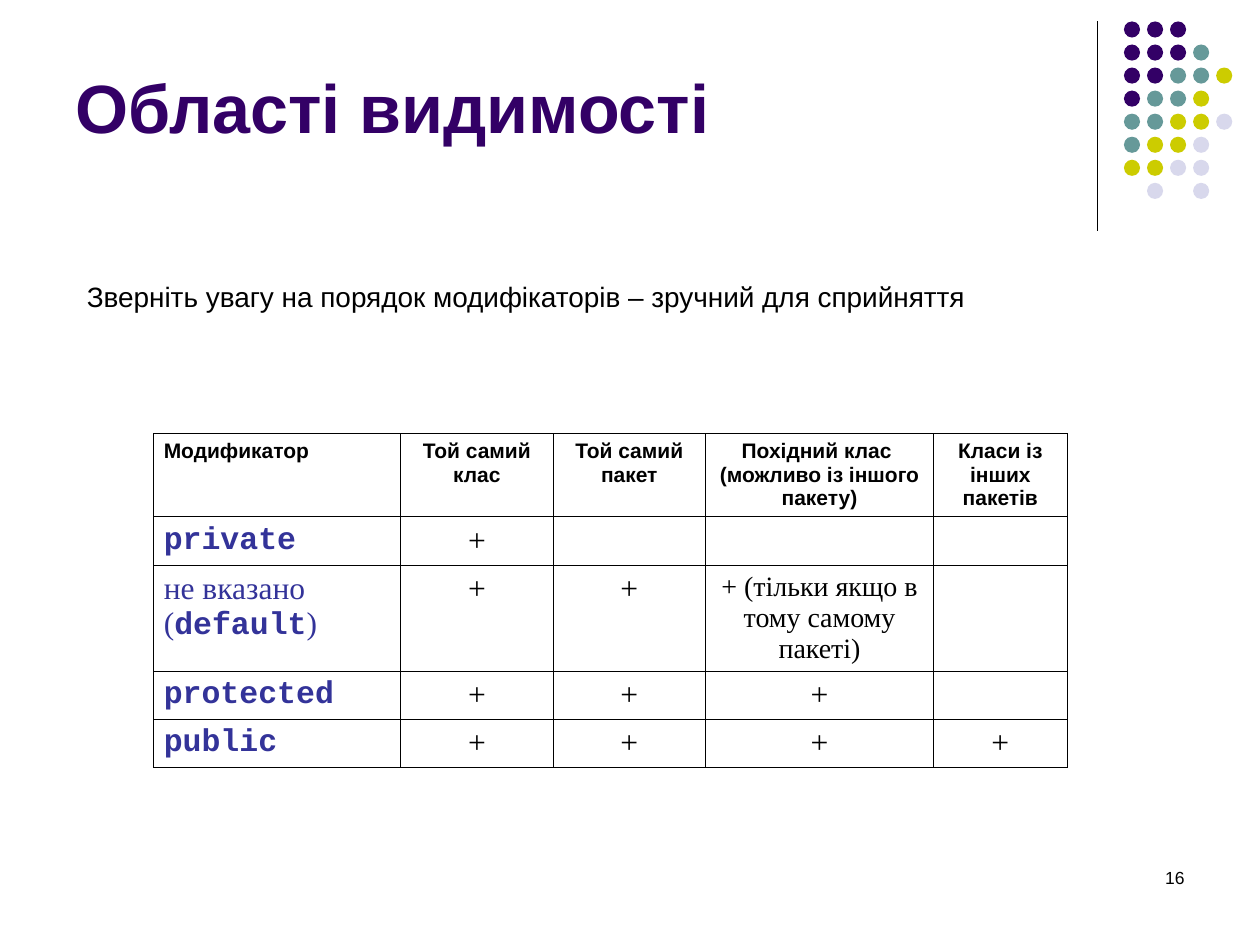
import pptx
import pptx.util
from lxml import etree
from pptx.dml.color import RGBColor
from pptx.enum.shapes import MSO_CONNECTOR, MSO_SHAPE
from pptx.enum.text import MSO_ANCHOR, MSO_AUTO_SIZE, PP_ALIGN
from pptx.oxml.ns import qn

BLACK = RGBColor(0x00, 0x00, 0x00)
WHITE = RGBColor(0xFF, 0xFF, 0xFF)
PURPLE = RGBColor(0x33, 0x00, 0x66)
TEAL = RGBColor(0x66, 0x99, 0x99)
OLIVE = RGBColor(0xCC, 0xCC, 0x00)
LAVENDER = RGBColor(0xD8, 0xD8, 0xEC)
INDIGO = RGBColor(0x33, 0x33, 0x99)

# The slide is a grid of 100 columns by 75 rows of square units.
UNIT = pptx.util.Inches(0.1)
COLUMNS, ROWS = 100, 75

TITLE = dict(name="Arial", size=39, bold=True, color=PURPLE)
NOTE = dict(name="Arial", size=16, bold=False, color=BLACK)
NUMBER = dict(NOTE, size=10)
HEADER = dict(name="Arial", size=12, bold=True, color=BLACK)
CODE = dict(name="Courier New", size=18, bold=True, color=INDIGO)
LABEL = dict(name="Times New Roman", size=18, bold=False, color=INDIGO)
MARK = dict(LABEL, color=BLACK)
REMARK = dict(MARK, size=16)

DOT_COLORS = {"P": PURPLE, "T": TEAL, "O": OLIVE, "L": LAVENDER}
DOTS = ["PPP", "PPPT", "PPTTO", "PTTO", "TTOOL", "TOOL", "OOLL", " L L"]

COLUMN_WIDTHS = [19.6, 12.1, 12.1, 18.1, 10.6]
ROW_HEIGHTS = [6.6, 3.8, 8.4, 3.8, 3.8]
PLUS = [("+", MARK)]
# Each cell is a list of (text, format) spans.
CELLS = [
    [[(text, HEADER)] for text in (
        "Модификатор", "Той самий клас", "Той самий пакет",
        "Похідний клас \n(можливо із іншого пакету)",
        "Класи із інших пакетів")],
    [[("private", CODE)], PLUS, [], [], []],
    [[("не вказано (", LABEL), ("default", CODE), (")", LABEL)], PLUS, PLUS,
     [("+ (тільки якщо в тому самому пакеті)", REMARK)], []],
    [[("protected", CODE)], PLUS, PLUS, PLUS, []],
    [[("public", CODE)], PLUS, PLUS, PLUS, PLUS],
]


def units(*counts):
    return [round(count * UNIT) for count in counts]


def write(frame, spans, align=PP_ALIGN.LEFT):
    """Fill a text frame with formatted spans; a newline starts a paragraph."""
    para = frame.paragraphs[0]
    para.alignment = align
    for text, style in spans:
        for index, part in enumerate(text.split("\n")):
            if index:
                para = frame.add_paragraph()
                para.alignment = align
            span = para.add_run()
            span.text = part
            values = dict(style, size=pptx.util.Pt(style["size"]))
            span.font.color.rgb = values.pop("color")
            for name, value in values.items():
                setattr(span.font, name, value)


def set_frame(frame, anchor, auto_size=MSO_AUTO_SIZE.NONE):
    settings = dict(word_wrap=True, auto_size=auto_size, vertical_anchor=anchor)
    for name, value in settings.items():
        setattr(frame, name, value)


def place_title(page, box, text):
    title = page.shapes.title
    for name, value in zip(("left", "top", "width", "height"), units(*box)):
        setattr(title, name, value)
    set_frame(title.text_frame, MSO_ANCHOR.MIDDLE)
    write(title.text_frame, [(text, TITLE)])


def place_text(page, box, text, style, align=PP_ALIGN.LEFT,
               anchor=MSO_ANCHOR.TOP, auto_size=MSO_AUTO_SIZE.NONE):
    frame = page.shapes.add_textbox(*units(*box)).text_frame
    set_frame(frame, anchor, auto_size)
    write(frame, [(text, style)], align)


def place_ornament(page, box):
    """Draw the vertical rule and the grid of dots to its right."""
    left, top, width, height = box
    rule = page.shapes.add_connector(
        MSO_CONNECTOR.STRAIGHT, *units(left, top, left, top + height))
    rule.line.color.rgb = BLACK
    rule.line.width = pptx.util.Pt(0.75)
    etree.SubElement(rule.element.spPr, qn("a:effectLst"))

    pitch, size = 1.83, 1.28
    first = left + width - 4 * pitch - size
    group = page.shapes.add_group_shape()
    for row, line in enumerate(DOTS):
        for column, key in enumerate(line):
            if key == " ":
                continue
            dot = group.shapes.add_shape(
                MSO_SHAPE.OVAL,
                *units(first + column * pitch, top + row * pitch, size, size))
            dot.shadow.inherit = False
            dot.fill.solid()
            dot.fill.fore_color.rgb = DOT_COLORS[key]
            dot.line.fill.background()


def add_borders(cell):
    properties = cell._tc.get_or_add_tcPr()
    for index, side in enumerate(("lnL", "lnR", "lnT", "lnB")):
        border = etree.Element(qn("a:" + side), w=str(pptx.util.Pt(0.45)))
        fill = etree.SubElement(border, qn("a:solidFill"))
        etree.SubElement(fill, qn("a:srgbClr"), val=str(BLACK))
        properties.insert(index, border)


def place_table(page, box):
    table = page.shapes.add_table(
        len(ROW_HEIGHTS), len(COLUMN_WIDTHS), *units(*box)).table
    table.first_row = table.horz_banding = False
    for column, width in zip(table.columns, units(*COLUMN_WIDTHS)):
        column.width = width
    for row, height in zip(table.rows, units(*ROW_HEIGHTS)):
        row.height = height
    for row, line in enumerate(CELLS):
        for column, spans in enumerate(line):
            cell = table.cell(row, column)
            cell.fill.solid()
            cell.fill.fore_color.rgb = WHITE
            cell.margin_left = cell.margin_right = units(0.8)[0]
            # Without side margins an empty line cannot stretch its row.
            cell.margin_top = cell.margin_bottom = units(0.5 if spans else 0)[0]
            write(cell.text_frame, spans,
                  PP_ALIGN.CENTER if column else PP_ALIGN.LEFT)
            add_borders(cell)


def main():
    deck = pptx.Presentation()
    deck.slide_width, deck.slide_height = units(COLUMNS, ROWS)
    page = deck.slides.add_slide(deck.slide_layouts.get_by_name("Title Only"))
    place_ornament(page, (87.1, 1.7, 10.7, 16.6))
    place_title(page, (5, 1.3, 82.5, 14.2), "Області видимості")
    place_table(page, (12.2, 34.4, sum(COLUMN_WIDTHS), sum(ROW_HEIGHTS)))
    place_text(page, (71.7, 68.3, 23.3, 5), "16", NUMBER, PP_ALIGN.RIGHT)
    place_text(page, (5.9, 21.7, 81.1, 3.7),
               "Зверніть увагу на порядок модифікаторів – зручний для сприйняття",
               NOTE, anchor=MSO_ANCHOR.MIDDLE,
               auto_size=MSO_AUTO_SIZE.SHAPE_TO_FIT_TEXT)
    deck.save("out.pptx")


if __name__ == "__main__":
    main()
